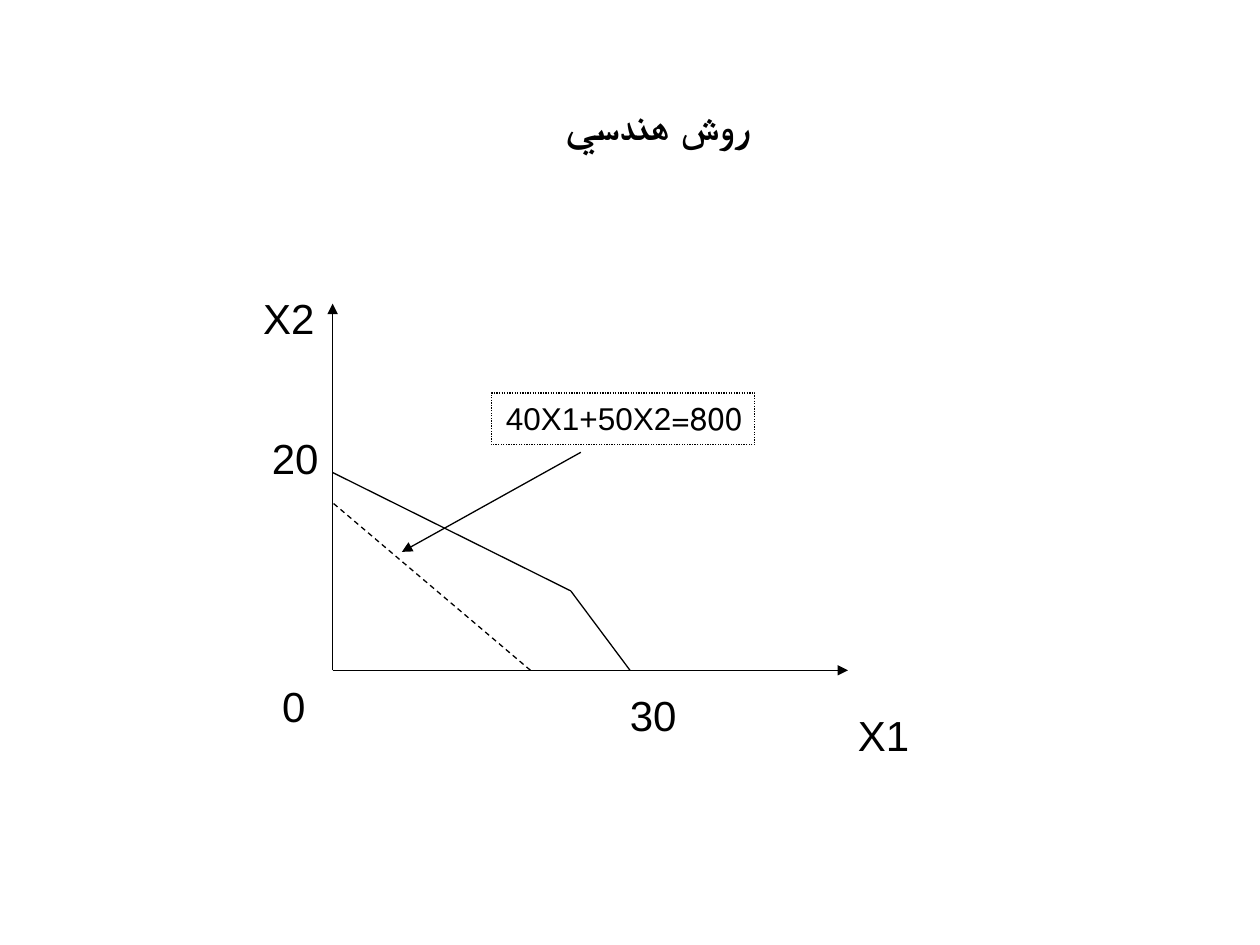
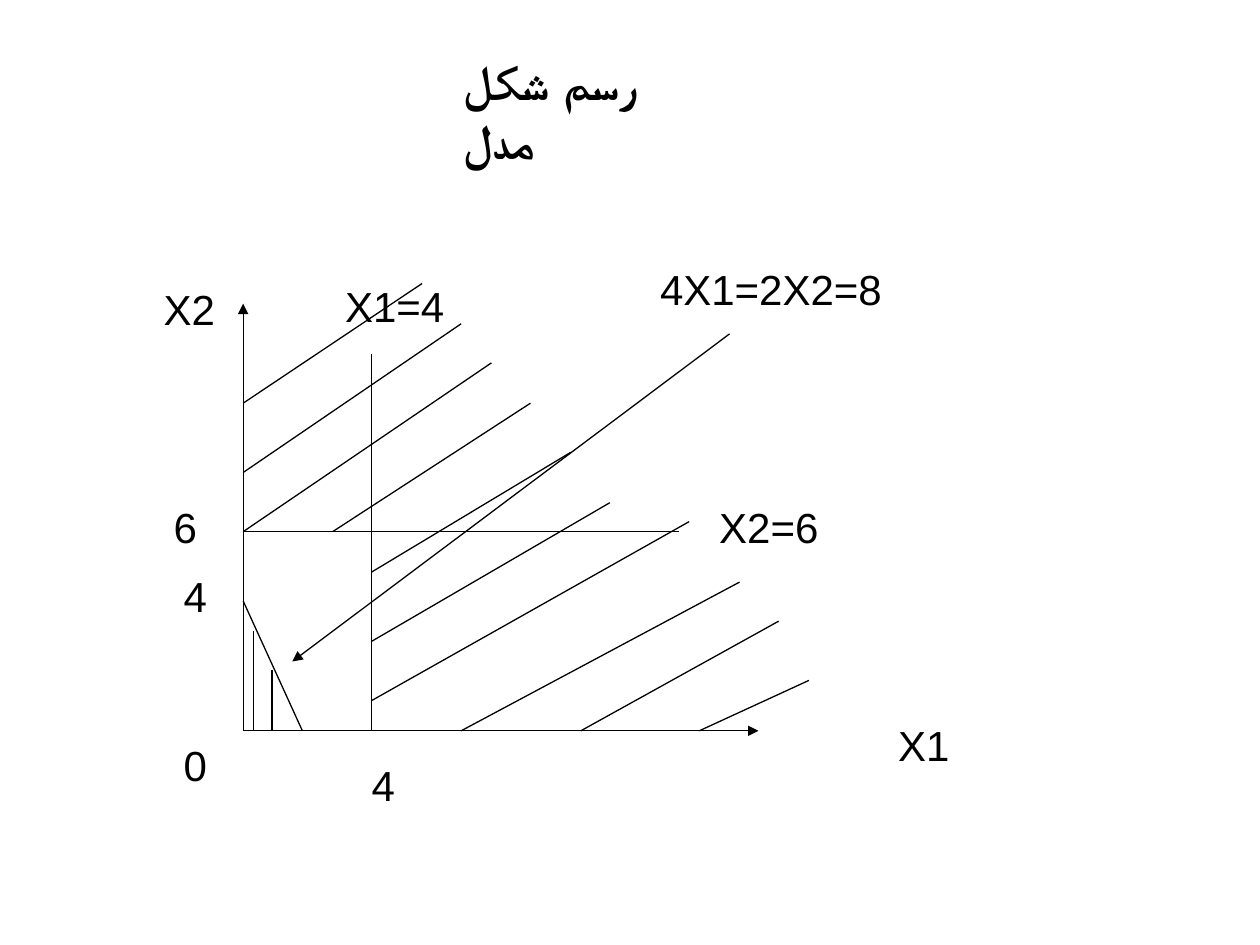
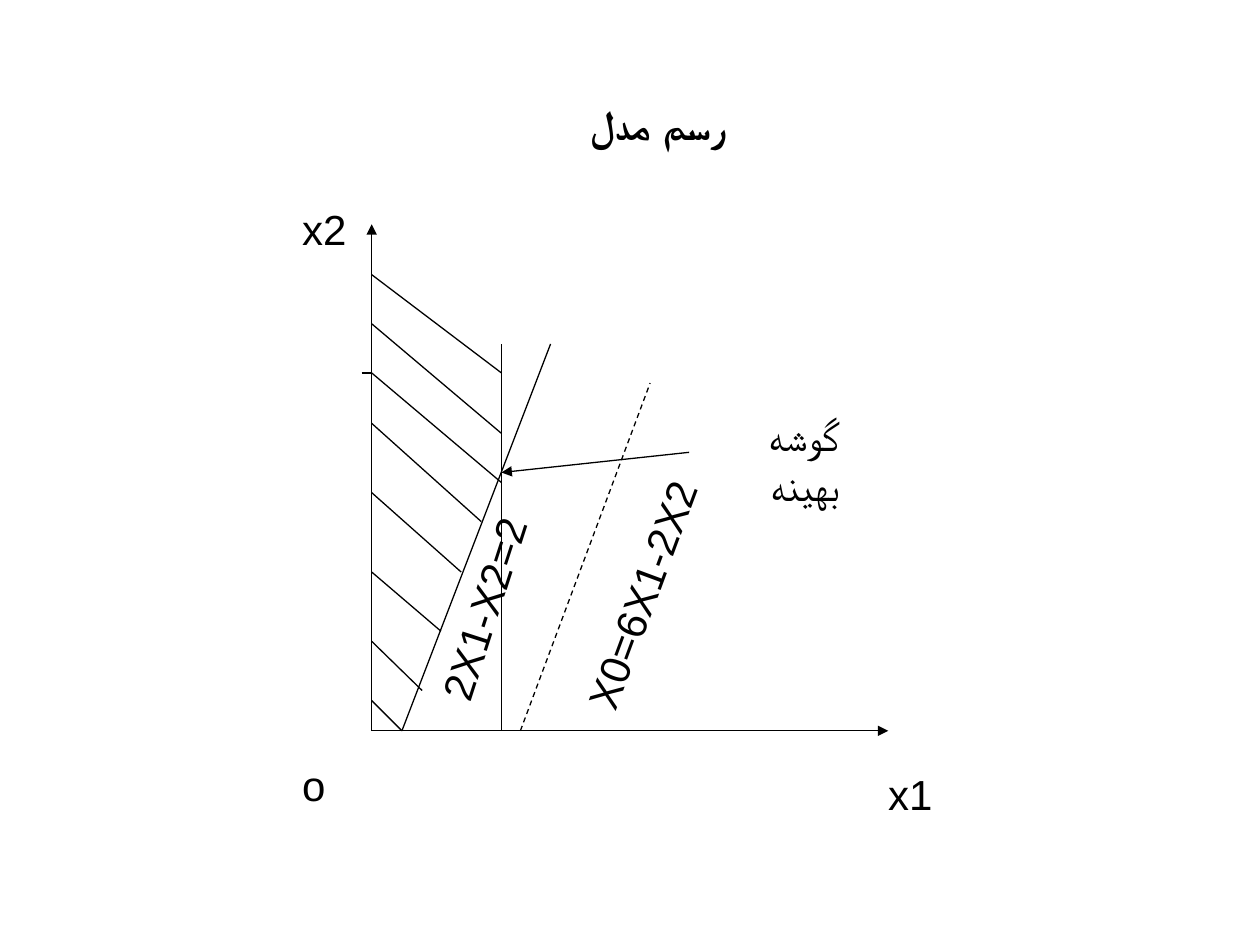
import pptx
import pptx.util
import pptx.dml.color
import pptx.enum.dml
import pptx.enum.shapes
import pptx.enum.text
from lxml import etree
from pptx.oxml.ns import qn

Inches = pptx.util.Inches
Align = pptx.enum.text.PP_ALIGN
Anchor = pptx.enum.text.MSO_ANCHOR
Fit = pptx.enum.text.MSO_AUTO_SIZE
Dash = pptx.enum.dml.MSO_LINE
HUES = {"ink": "000000", "page": "FFFFFF"}
INK = pptx.dml.color.RGBColor.from_string(HUES["ink"])
PAGE = pptx.dml.color.RGBColor.from_string(HUES["page"])
FONT = "Arial"
HEAD = (0.72, 0.36, 9, 1.25)


def write(text, shape, at, size=24, bold=False, align=Align.LEFT,
          anchor=Anchor.TOP, wrap=False, fit=Fit.SHAPE_TO_FIT_TEXT,
          rtl=False, turn=0):
    shape.left, shape.top, shape.width, shape.height = map(Inches, at)
    shape.rotation = turn
    frame = shape.text_frame
    frame.text = text
    frame.word_wrap = wrap
    frame.auto_size = fit
    frame.vertical_anchor = anchor
    para = frame.paragraphs[0]
    para.alignment = align
    if rtl:
        para._p.get_or_add_pPr().set("rtl", "1")
    font = para.runs[0].font
    font.name, font.size, font.bold = FONT, pptx.util.Pt(size), bold
    font.color.rgb = INK


def draw(slide, ends, arrow=False, dash=None):
    line = slide.shapes.add_connector(
        pptx.enum.shapes.MSO_CONNECTOR.STRAIGHT, *map(Inches, ends))
    line.line.color.rgb = INK
    line.line.width = pptx.util.Pt(0.75)
    if dash:
        line.line.dash_style = dash
    if arrow:
        tail = etree.SubElement(line.line._get_or_add_ln(), qn("a:tailEnd"))
        tail.set("type", "triangle")
    etree.SubElement(line._element.spPr, qn("a:effectLst"))


deck = pptx.Presentation()
deck.slide_width, deck.slide_height = Inches(10), Inches(7.5)
plots = [
    {
        "title": "روش هندسي",
        "head": {"at": HEAD, "align": Align.CENTER, "anchor": Anchor.MIDDLE},
        "arrows": [
            (2.64, 5.32, 2.64, 2.41), (2.64, 5.32, 6.73, 5.32),
            (4.61, 3.59, 3.19, 4.38),
        ],
        "lines": [(2.64, 3.75, 4.53, 4.69), (5, 5.32, 4.53, 4.69)],
        "dashes": [(4.21, 5.32, 2.64, 3.99)],
        "labels": [
            ("20", 2.06, 3.38, 0.57), ("30", 4.9, 5.42, 0.57),
            ("X2", 1.99, 2.27, 0.61), ("X1", 6.71, 5.58, 0.61),
            ("0", 2.14, 5.35, 0.39),
        ],
    },
    {
        "title": "رسم شکل مدل",
        "head": {"at": (3.58, 0.36, 2.05, 0.57), "size": 28},
        "arrows": [
            (1.93, 5.8, 1.93, 2.41), (1.93, 5.8, 6.02, 5.8),
            (5.79, 2.65, 2.32, 5.25),
        ],
        "lines": [
            (2.95, 5.8, 2.95, 2.81), (1.93, 4.22, 5.39, 4.22),
            (1.93, 4.77, 2.4, 5.8), (2.01, 5.01, 2.01, 5.8),
            (2.16, 5.32, 2.16, 5.8), (1.93, 3.2, 3.35, 2.25),
            (1.93, 3.75, 3.66, 2.57), (1.93, 4.22, 3.9, 2.88),
            (2.64, 4.22, 4.21, 3.2), (2.95, 4.54, 4.53, 3.59),
            (2.95, 5.09, 4.84, 3.99), (2.95, 5.56, 5.47, 4.14),
            (3.66, 5.8, 5.87, 4.62), (4.61, 5.8, 6.18, 4.93),
            (5.55, 5.8, 6.42, 5.4),
        ],
        "dashes": [],
        "labels": [
            ("X2", 1.2, 2.2, 0.61), ("X1", 7.03, 5.66, 0.61),
            ("0", 1.36, 5.82, 0.39), ("4", 1.36, 4.48, 0.39),
            ("6", 1.28, 3.93, 0.39), ("4", 2.85, 5.98, 0.39),
            ("X1=4", 2.64, 2.18, 0.99), ("X2=6", 5.61, 3.93, 0.99),
            ("4X1=2X2=8", 5.14, 2.04, 1.96),
        ],
    },
    {
        "title": "رسم مدل",
        "head": {"at": HEAD, "align": Align.CENTER, "anchor": Anchor.MIDDLE},
        "arrows": [
            (2.95, 5.8, 2.95, 1.78), (2.95, 5.8, 7.05, 5.8),
            (5.47, 3.59, 3.98, 3.75),
        ],
        "lines": [
            (3.98, 5.8, 3.98, 2.73), (3.19, 5.8, 4.37, 2.73),
            (2.95, 5.56, 3.19, 5.8), (2.95, 5.09, 3.35, 5.48),
            (2.95, 4.54, 3.5, 5.01), (2.95, 3.91, 3.66, 4.54),
            (2.95, 3.36, 3.82, 4.14), (2.87, 2.96, 2.95, 2.96),
            (2.95, 2.96, 3.98, 3.83), (2.95, 2.57, 3.98, 3.44),
            (2.95, 2.18, 3.98, 2.96),
        ],
        "dashes": [(4.13, 5.8, 5.16, 3.04)],
        "labels": [
            ("x2", 2.3, 1.57, 0.55), ("x1", 6.95, 6.05, 0.55),
            ("o", 2.3, 5.98, 0.39),
            ("2X1-X2=2", 2.99, 4.58, 1.69, 287.9),
            ("X0=6X1-2X2", 4.04, 4.47, 2.1, 290.3),
        ],
    },
]

slides = []
for plot in plots:
    slide = deck.slides.add_slide(deck.slide_layouts[5])
    slides.append(slide)
    slide.background.fill.solid()
    slide.background.fill.fore_color.rgb = PAGE
    write(plot["title"], slide.shapes.title, bold=True, wrap=True,
          fit=Fit.NONE, **plot["head"])
    for ends in plot["arrows"]:
        draw(slide, ends, arrow=True)
    for ends in plot["lines"]:
        draw(slide, ends)
    for ends in plot["dashes"]:
        draw(slide, ends, dash=Dash.DASH)
    for text, left, top, width, *turn in plot["labels"]:
        box = slide.shapes.add_textbox(0, 0, 0, 0)
        write(text, box, (left, top, width, 0.5), turn=sum(turn))

rule = slides[0].shapes.add_shape(
    pptx.enum.shapes.MSO_SHAPE.RECTANGLE, 0, 0, 0, 0)
rule.shadow.inherit = False
rule.fill.background()
rule.line.color.rgb = INK
rule.line.width = pptx.util.Pt(0.75)
rule.line.dash_style = Dash.ROUND_DOT
write("800=40X1+50X2", rule, (3.9, 3.12, 2.09, 0.41), size=18,
      align=Align.RIGHT, rtl=True)

best = slides[2].shapes.add_textbox(0, 0, 0, 0)
write("گوشه بهينه", best, (5.39, 3.2, 1.37, 0.5), align=Align.RIGHT,
      wrap=True, rtl=True)

deck.save("out.pptx")
